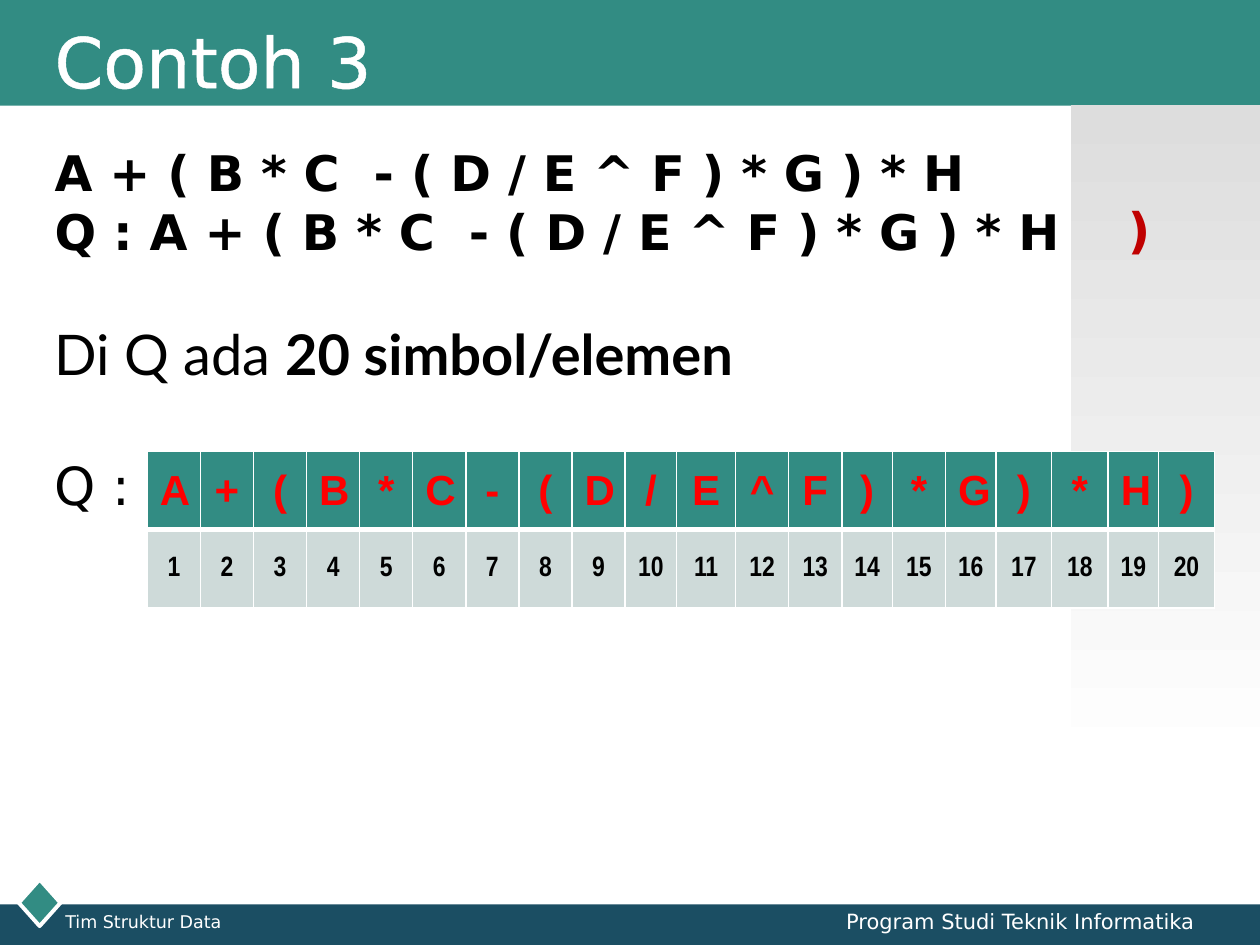
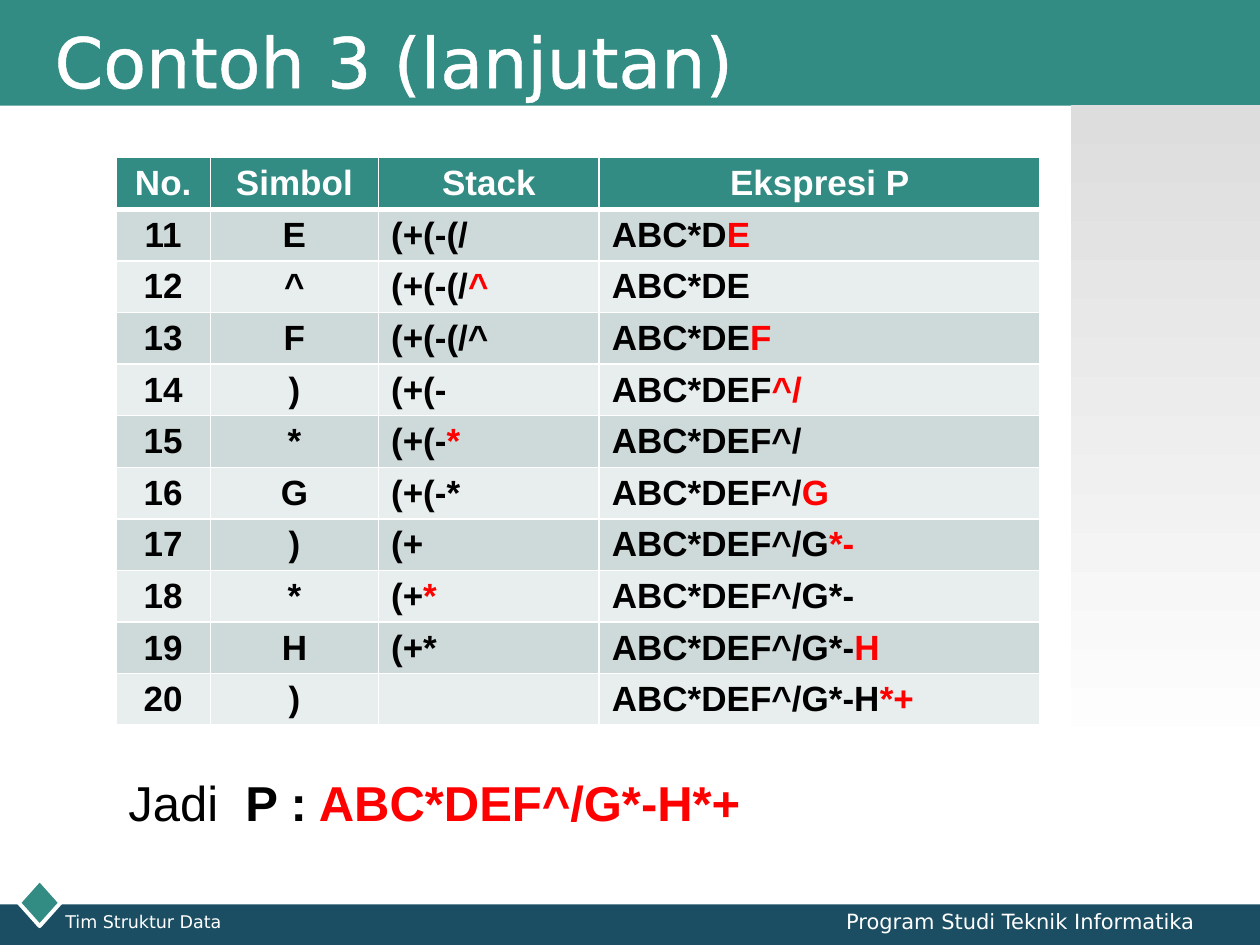
from lxml import etree
from pptx import Presentation
from pptx import util as u
from pptx.dml.color import RGBColor
from pptx.enum import shapes, text
from pptx.oxml.ns import qn

Cm, Pt = u.Cm, u.Pt
COLORS = {
    "teal": "328C83", "navy": "1B4E63",
    "white": "FFFFFF", "black": "000000", "grey": "DDDDDD",
    "red": "FF0000", "dark_red": "C00000",
    "band_dark": "CEDAD9", "band_light": "E8EEED",
}
RGB = {name: RGBColor.from_string(code) for name, code in COLORS.items()}
CENTER, RIGHT = text.PP_ALIGN.CENTER, text.PP_ALIGN.RIGHT
MIDDLE = text.MSO_ANCHOR.MIDDLE


def write(frame, *runs, size=20, font="DejaVu Sans", color="black", bold=False,
          align=None, anchor=None, before=0, outline=0, more=False):
    frame.word_wrap = True
    if anchor is not None:
        frame.vertical_anchor = anchor
    line = frame.add_paragraph() if more else frame.paragraphs[0]
    line.alignment = align
    line.space_before = Pt(before)
    for content, changes in runs:
        run = line.add_run()
        run.text = content
        run.font.size = Pt(size)
        run.font.name = font
        run.font.bold = changes.get("bold", bold)
        run.font.color.rgb = RGB[changes.get("color", color)]
        if outline:
            edge = etree.Element(qn("a:ln"), w=str(Pt(outline)))
            fill = etree.SubElement(edge, qn("a:solidFill"))
            etree.SubElement(fill, qn("a:srgbClr"), val=COLORS[color])
            run.font._element.insert(0, edge)


def add_grid(slide, left, top, widths, row_height, row_fills):
    grid = slide.shapes.add_table(
        len(row_fills), len(widths), Cm(left), Cm(top),
        Cm(sum(widths)), Cm(row_height * len(row_fills))).table
    for column, width in zip(grid.columns, widths):
        column.width = Cm(width)
    for r, row in enumerate(grid.rows):
        row.height = Cm(row_height)
        edges = {"lnL": 1, "lnR": 1, "lnB": 1}
        if r == 0:
            edges = {"lnL": 1, "lnR": 1, "lnT": 1, "lnB": 3}
        for cell in row.cells:
            cell.margin_top = cell.margin_bottom = Cm(0.08)
            cell.vertical_anchor = MIDDLE
            cell.fill.solid()
            cell.fill.fore_color.rgb = RGB[row_fills[r]]
            for i, (side, width) in enumerate(edges.items()):
                edge = etree.Element(qn("a:" + side), w=str(Pt(width)))
                fill = etree.SubElement(edge, qn("a:solidFill"))
                etree.SubElement(fill, qn("a:srgbClr"), val=COLORS["white"])
                cell._tc.get_or_add_tcPr().insert(i, edge)
    return grid


prs = Presentation()
prs.slide_width, prs.slide_height = Cm(25.4), Cm(19.05)

KIND = shapes.MSO_SHAPE
DECOR = [
    (KIND.RECTANGLE, 0, 0, 25.4, 2.13, "teal"),
    (KIND.RECTANGLE, 0, 18.23, 25.4, 0.82, "navy"),
    (KIND.DIAMOND, 0.38, 17.73, 0.84, 0.94, "teal"),
    (KIND.RECTANGLE, 21.59, 2.11, 3.81, 13.34, "grey"),
]
FOOTERS = [
    ("Tim Struktur Data", (1.07, 18.24, 6.78, 0.58), dict(size=10)),
    ("Program Studi Teknik Informatika", (16.08, 18.19, 8.25, 0.86),
     dict(size=12, align=RIGHT)),
]

slides = []
for title in ["Contoh 3", "Contoh 3 (lanjutan)"]:
    slide = prs.slides.add_slide(prs.slide_layouts[6])
    slides.append(slide)
    for kind, left, top, width, height, color in DECOR:
        part = slide.shapes.add_shape(kind, Cm(left), Cm(top), Cm(width), Cm(height))
        part.shadow.inherit = False
        part.line.fill.background()
        if color == "grey":
            part.fill.gradient()
            part.fill.gradient_angle = 270
            for stop, shade, place in zip(part.fill.gradient_stops, ("grey", "white"), (0, 1)):
                stop.color.rgb = RGB[shade]
                stop.position = place
        else:
            part.fill.solid()
            part.fill.fore_color.rgb = RGB[color]
        if kind == KIND.DIAMOND:
            part.line.color.rgb = RGB["white"]
            part.line.width = Pt(2.25)
    for footer, box, style in FOOTERS:
        write(slide.shapes.add_textbox(*map(Cm, box)).text_frame, (footer, {}),
              color="white", **style)
    heading = slide.shapes.add_textbox(Cm(0.85), Cm(0.43), Cm(20.75), Cm(1.57))
    write(heading.text_frame, (title, {}), size=40, color="white", anchor=MIDDLE, outline=1.45)

queue_slide, trace_slide = slides

EXPRESSION = "A + ( B * C  - ( D / E ^ F ) * G ) * H"
body = queue_slide.shapes.add_textbox(Cm(0.85), Cm(2.75), Cm(23.5), Cm(13.97)).text_frame
write(body, (EXPRESSION, {}), size=28, bold=True, before=2)
write(body, ("Q : " + EXPRESSION, {}), size=28, bold=True, more=True)
write(body, ("Di Q ada ", {}), ("20 simbol/elemen", {"bold": True}),
      size=32, font="Lato", before=34, more=True)
write(body, ("Q :", {}), size=30, before=38, more=True)

symbols = EXPRESSION.split() + [")"]
symbol_widths = [1.07] * 9 + [1.04, 1.19, 1.07, 1.07, 1.02, 1.07, 1.02, 1.12, 1.14, 1.02, 1.12]
queue = add_grid(queue_slide, 2.97, 9.1, symbol_widths, 1.58, ["teal", "band_dark"])
for i, symbol in enumerate(symbols):
    write(queue.cell(0, i).text_frame, (symbol, {}),
          size=24, font="Arial", color="red", bold=True, align=CENTER)
    position = queue.cell(1, i)
    position.margin_left = position.margin_right = Cm(0.1)
    write(position.text_frame, (str(i + 1), {}),
          size=16, font="Arial Narrow", bold=True, align=CENTER)

closing = queue_slide.shapes.add_textbox(Cm(22.43), Cm(3.89), Cm(1.07), Cm(1.45))
write(closing.text_frame, (")", {}), size=28, color="dark_red", bold=True, align=CENTER)

HEADERS = ["No.", "Simbol", "Stack", "Ekspresi P"]
STEPS = [
    ("(+(-(/", "ABC*DE"),
    ("(+(-(/^", "ABC*DE"),
    ("(+(-(/^", "ABC*DEF"),
    ("(+(-", "ABC*DEF^/"),
    ("(+(-*", "ABC*DEF^/"),
    ("(+(-*", "ABC*DEF^/G"),
    ("(+", "ABC*DEF^/G*-"),
    ("(+*", "ABC*DEF^/G*-"),
    ("(+*", "ABC*DEF^/G*-H"),
    ("", "ABC*DEF^/G*-H*+"),
]
trace_fills = ["teal"] + ["band_dark", "band_light"] * 5
trace = add_grid(trace_slide, 2.34, 3.18, [1.9, 3.39, 4.45, 8.89], 1.04, trace_fills)
trace_style = dict(font="Arial", bold=True)
for c, header in enumerate(HEADERS):
    write(trace.cell(0, c).text_frame, (header, {}), color="white", align=CENTER, **trace_style)

previous = ("(+(-(/", "ABC*D")
for r, step in enumerate(STEPS, 1):
    number = r + 10
    for c, value in enumerate([str(number), symbols[number - 1]]):
        write(trace.cell(r, c).text_frame, (value, {}), align=CENTER, **trace_style)
    for c, (before, now) in enumerate(zip(previous, step), 2):
        kept = len(before) if now.startswith(before) else len(now)
        pieces = [(now[:kept], {}), (now[kept:], {"color": "red"})]
        write(trace.cell(r, c).text_frame, *[p for p in pieces if p[0]], **trace_style)
    previous = step

result = trace_slide.shapes.add_textbox(Cm(2.34), Cm(15.45), Cm(19.25), Cm(1.45))
write(result.text_frame, ("Jadi  ", {}), ("P :", {"bold": True}),
      (" " + STEPS[-1][1], {"bold": True, "color": "red"}), size=28, font="Arial")

prs.save("out.pptx")
